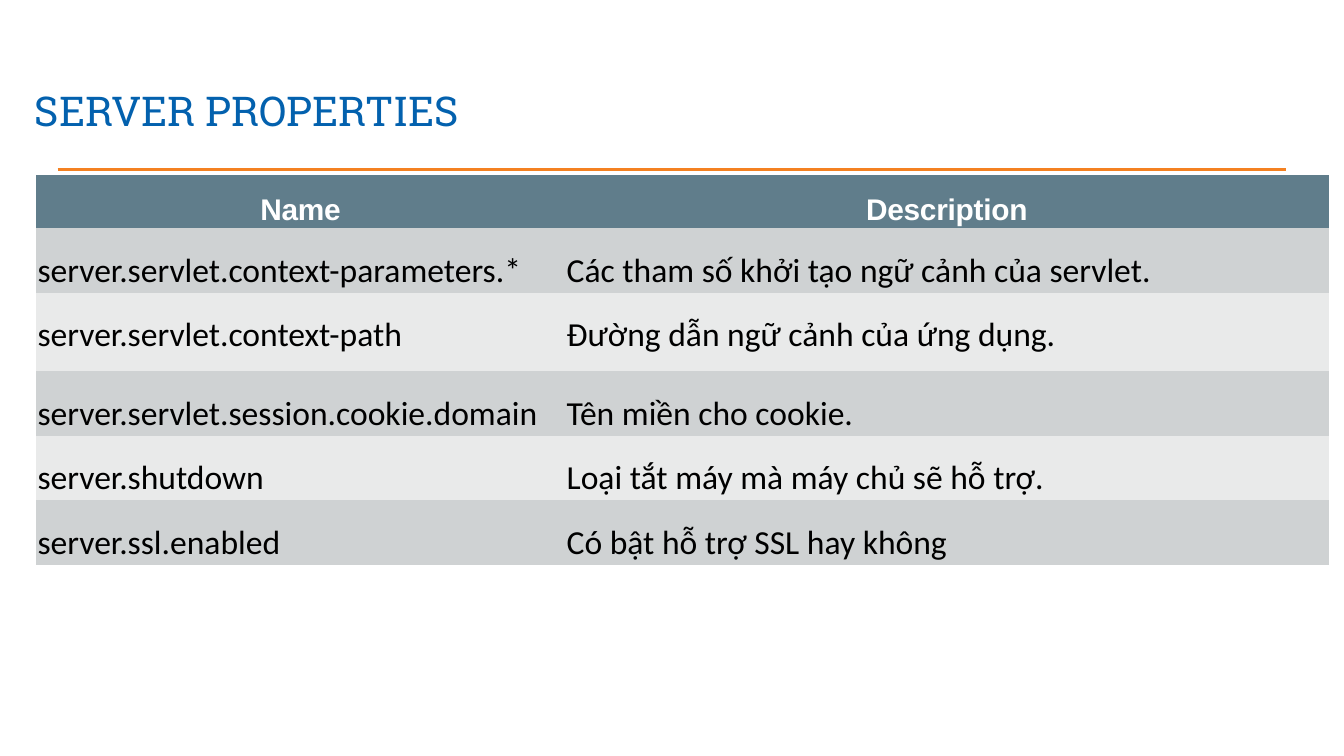
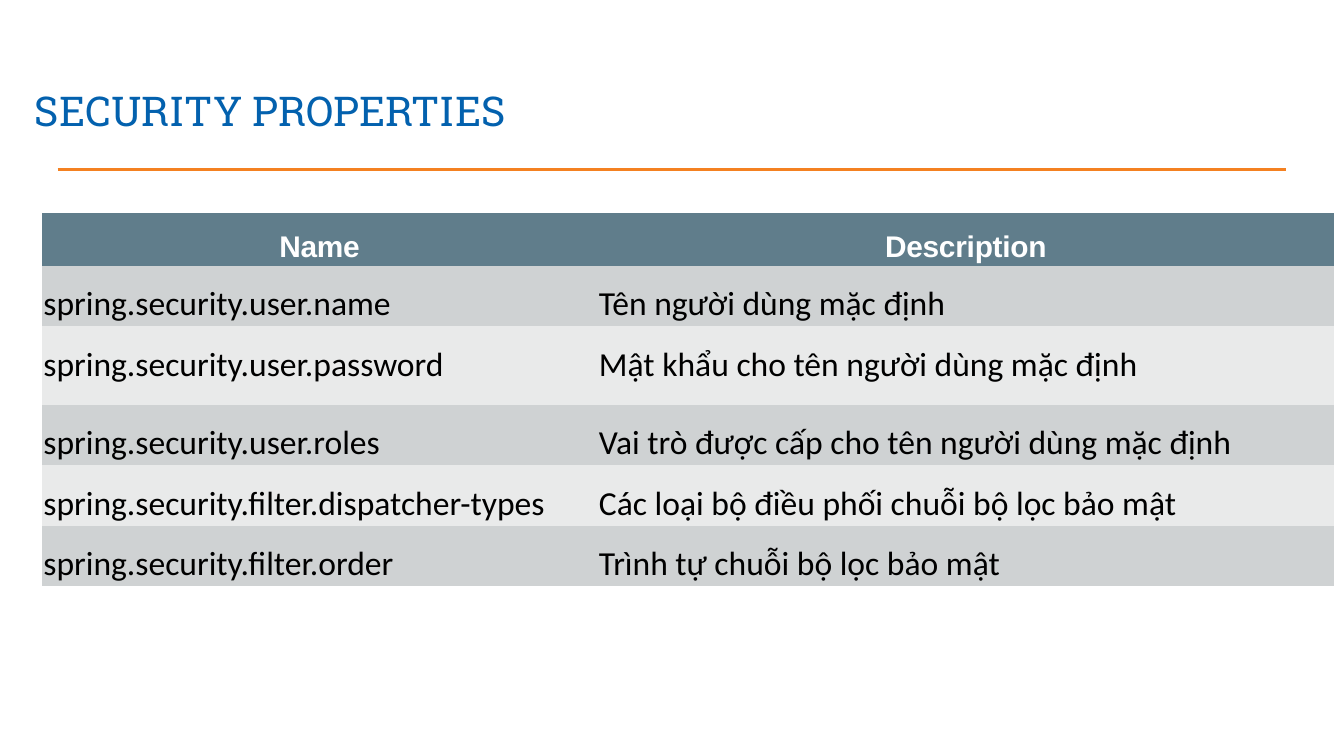
from pptx import Presentation
from pptx import util as u
from pptx.dml.color import RGBColor
from pptx.enum import shapes, text
from pptx.oxml.ns import qn
from lxml import etree

COLORS = {
    "title": "0361AE",
    "rule": "F48121",
    "header": "607D8B",
    "header_text": "FFFFFF",
    "body_text": "000000",
    "odd_row": "CFD2D3",
    "even_row": "E9EAEA",
}
NO_GRID_STYLE = "{2D5ABB26-0587-4C30-8999-92F81FD0307C}"
TITLE_BOX = (0.41, 0.61, 22.5, 2.18)
RULE_BOX = (1.09, 3.2, 23.22, 0)
HEADER = ("Name", "Description")
HEADER_HEIGHT = 0.99
TALL_ROW_HEIGHT = 1.48

SERVER_ROWS = [
    ("server.servlet.context-parameters.*", "Các tham số khởi tạo ngữ cảnh của servlet."),
    ("server.servlet.context-path", "Đường dẫn ngữ cảnh của ứng dụng."),
    ("server.servlet.session.cookie.domain", "Tên miền cho cookie."),
    ("server.shutdown", "Loại tắt máy mà máy chủ sẽ hỗ trợ."),
    ("server.ssl.enabled", "Có bật hỗ trợ SSL hay không"),
]
SECURITY_ROWS = [
    ("spring.security.user.name", "Tên người dùng mặc định"),
    ("spring.security.user.password", "Mật khẩu cho tên người dùng mặc định"),
    ("spring.security.user.roles", "Vai trò được cấp cho tên người dùng mặc định"),
    ("spring.security.filter.dispatcher-types", "Các loại bộ điều phối chuỗi bộ lọc bảo mật"),
    ("spring.security.filter.order", "Trình tự chuỗi bộ lọc bảo mật"),
]


def rgb(name):
    return RGBColor.from_string(COLORS[name])


def style_font(font, name, size, color, bold=False):
    font.name = name
    font.size = u.Pt(size)
    font.bold = bold
    font.color.rgb = rgb(color)


def add_title(slide, box, title):
    sp = slide.shapes.title
    sp.left, sp.top, sp.width, sp.height = map(u.Cm, box)
    tf = sp.text_frame
    tf.text = title
    tf.word_wrap = True
    tf.auto_size = text.MSO_AUTO_SIZE.NONE
    tf.vertical_anchor = text.MSO_ANCHOR.BOTTOM
    tf.margin_left = tf.margin_right = tf.margin_top = tf.margin_bottom = u.Cm(0.25)
    p = tf.paragraphs[0]
    p.alignment = text.PP_ALIGN.LEFT
    style_font(p.runs[0].font, "Roboto Slab", 22, "title")


def add_rule(slide, box):
    left, top, width, height = box
    line = slide.shapes.add_connector(
        shapes.MSO_CONNECTOR.STRAIGHT,
        u.Cm(left), u.Cm(top), u.Cm(left + width), u.Cm(top + height))
    line.line.color.rgb = rgb("rule")
    line.line.width = u.Pt(1.5)
    etree.SubElement(line._element.spPr, qn("a:effectLst"))


def fill_cell(cell, content, fill, spacing, line_spacing):
    cell.fill.solid()
    cell.fill.fore_color.rgb = rgb(fill)
    cell.margin_left = cell.margin_right = u.Cm(0.03)
    cell.margin_top = cell.margin_bottom = u.Cm(0.03)
    cell.text_frame.text = content
    p = cell.text_frame.paragraphs[0]
    p.line_spacing = line_spacing
    p.space_before = p.space_after = u.Pt(spacing)
    return p


def add_properties_table(slide, box, name_width, rows, row_height, line_spacing):
    left, top, width = box
    heights = [HEADER_HEIGHT] + [row_height] * len(rows)
    heights[2] = TALL_ROW_HEIGHT
    table = slide.shapes.add_table(
        len(heights), len(HEADER),
        u.Cm(left), u.Cm(top), u.Cm(width), u.Cm(sum(heights))).table
    table._tbl.tblPr.find(qn("a:tableStyleId")).text = NO_GRID_STYLE
    for column, size in zip(table.columns, (name_width, width - name_width)):
        column.width = u.Cm(size)
    for row, height in zip(table.rows, heights):
        row.height = u.Cm(height)

    for cell, label in zip(table.rows[0].cells, HEADER):
        p = fill_cell(cell, label, "header", 6, 1.5)
        p.alignment = text.PP_ALIGN.CENTER
        style_font(p.runs[0].font, "Arial", 16, "header_text", True)
        p.runs[0]._r.get_or_add_rPr().set("spc", "-10")
    for i, values in enumerate(rows, 1):
        fill = "odd_row" if i % 2 else "even_row"
        for cell, value in zip(table.rows[i].cells, values):
            p = fill_cell(cell, value, fill, 8, line_spacing)
            style_font(p.runs[0].font, "Calibri", 18, "body_text")


def add_properties_slide(prs, title, box, name_width, rows, row_height, line_spacing):
    slide = prs.slides.add_slide(prs.slide_layouts.get_by_name("Title Only"))
    add_rule(slide, RULE_BOX)
    add_title(slide, TITLE_BOX, title)
    add_properties_table(slide, box, name_width, rows, row_height, line_spacing)


def main():
    prs = Presentation()
    prs.slide_width, prs.slide_height = u.Cm(25.4), u.Cm(14.29)
    add_properties_slide(prs, "SERVER PROPERTIES", (0.68, 3.31, 24.43), 10,
                         SERVER_ROWS, 1.22, 1.5)
    add_properties_slide(prs, "SECURITY PROPERTIES", (0.79, 4.02, 24.43), 10.5,
                         SECURITY_ROWS, 1.14, 1.4)
    prs.save("out.pptx")


if __name__ == "__main__":
    main()
